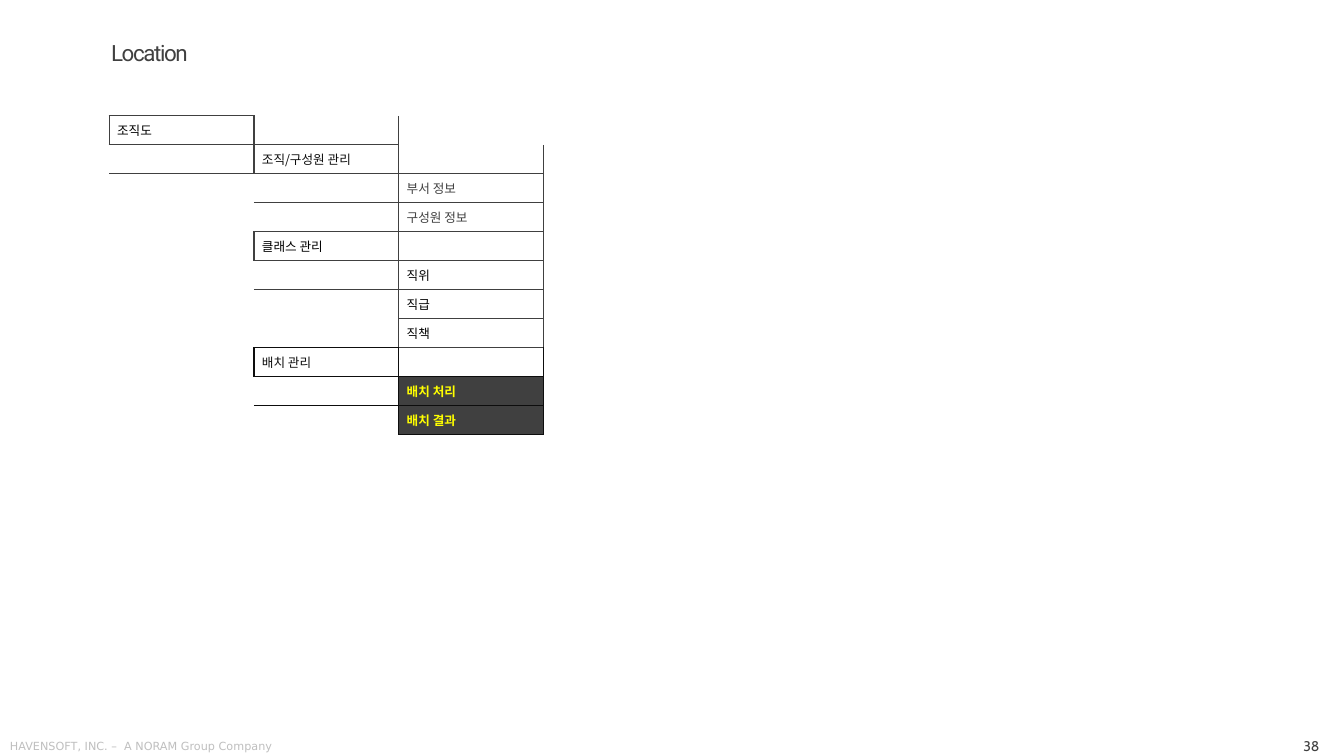
import pptx
import pptx.dml.color
import pptx.enum.text
import pptx.oxml.ns
import pptx.util
from lxml import etree

Cm = pptx.util.Cm
Pt = pptx.util.Pt
qn = pptx.oxml.ns.qn
Anchor = pptx.enum.text.MSO_ANCHOR
Align = pptx.enum.text.PP_ALIGN

GRAY, DARK, BLACK = "404040", "0D0D0D", "000000"
WHITE, YELLOW = "FFFFFF", "FFFF00"
MENU_FONT = "Noto Sans CJK KR"
NO_STYLE = "{2D5ABB26-0587-4C30-8999-92F81FD0307C}"
SIDES = {"L": (0, -1), "R": (0, 1), "T": (-1, 0), "B": (1, 0)}

MENU = [
    (0, "조직도", BLACK, None, GRAY),
    (1, "조직/구성원 관리", DARK, None, GRAY),
    (2, "부서 정보", GRAY, None, GRAY),
    (2, "구성원 정보", GRAY, WHITE, GRAY),
    (1, "클래스 관리", BLACK, None, GRAY),
    (2, "직위", BLACK, None, GRAY),
    (2, "직급", BLACK, None, GRAY),
    (2, "직책", BLACK, None, GRAY),
    (1, "배치 관리", DARK, WHITE, DARK),
    (2, "배치 처리", YELLOW, GRAY, DARK),
    (2, "배치 결과", YELLOW, GRAY, DARK),
]


def color(hex_text):
    return pptx.dml.color.RGBColor.from_string(hex_text)


class SlideBuilder:
    def __init__(self, presentation):
        self.slide = presentation.slides.add_slide(presentation.slide_layouts[5])

    def format_text(self, frame, size, font_name, hex_text, bold=False):
        for run in frame.paragraphs[0].runs:
            run.font.size = Pt(size)
            run.font.name = font_name
            run.font.bold = bold
            run.font.color.rgb = color(hex_text)
            properties = run.font._element
            etree.SubElement(properties, qn("a:ea"), typeface=font_name)

    def set_margins(self, frame, horizontal, vertical):
        frame.margin_left = frame.margin_right = Cm(horizontal)
        frame.margin_top = frame.margin_bottom = Cm(vertical)

    def title(self, text, left, top, width, height):
        shape = self.slide.shapes.title
        shape.left, shape.top = Cm(left), Cm(top)
        shape.width, shape.height = Cm(width), Cm(height)
        frame = shape.text_frame
        frame.text = text
        frame.auto_size = pptx.enum.text.MSO_AUTO_SIZE.NONE
        frame.vertical_anchor = Anchor.TOP
        self.set_margins(frame, 0, 0)
        paragraph = frame.paragraphs[0]
        paragraph.alignment = Align.LEFT
        paragraph.line_spacing = 0.9
        self.format_text(frame, 16, "Roboto", GRAY)
        paragraph.runs[0].font._element.set("spc", "-100")

    def label(self, text, left, top, width, height, size, font_name, hex_text,
              alignment=Align.LEFT, anchor=Anchor.TOP):
        shape = self.slide.shapes.add_textbox(Cm(left), Cm(top), Cm(width), Cm(height))
        frame = shape.text_frame
        frame.text = text
        frame.word_wrap = True
        frame.vertical_anchor = anchor
        self.set_margins(frame, 0.1, 0.13)
        frame.paragraphs[0].alignment = alignment
        self.format_text(frame, size, font_name, hex_text)

    def border(self, cell, position, side, hex_text):
        line = etree.Element(qn(f"a:ln{side}"), w=str(Pt(1)))
        fill = etree.SubElement(line, qn("a:solidFill"))
        etree.SubElement(fill, qn("a:srgbClr"), val=hex_text)
        cell._tc.get_or_add_tcPr().insert(position, line)

    def menu_table(self, entries, left, top, column_width, row_height, columns):
        frame = self.slide.shapes.add_table(
            len(entries), columns, Cm(left), Cm(top),
            Cm(column_width * columns), Cm(row_height * len(entries)))
        table = frame.table
        table.first_row = table.horz_banding = False
        table._tbl.tblPr.find(qn("a:tableStyleId")).text = NO_STYLE
        for column in table.columns:
            column.width = Cm(column_width)
        for row in table.rows:
            row.height = Cm(row_height)
        labelled = {(row, entry[0]): entry for row, entry in enumerate(entries)}
        for row in range(len(entries)):
            for column in range(columns):
                self.menu_cell(table.cell(row, column), row, column, labelled)

    def menu_cell(self, cell, row, column, labelled):
        self.set_margins(cell, 0, 0)
        cell.margin_left = Cm(0.2)
        cell.vertical_anchor = Anchor.MIDDLE
        entry = labelled.get((row, column))
        if entry:
            _, text, text_color, fill_color, _ = entry
            cell.text = text
            self.format_text(cell.text_frame, 9, MENU_FONT, text_color, text_color == YELLOW)
        else:
            fill_color = None
            paragraph = cell.text_frame.paragraphs[0]
            etree.SubElement(paragraph._p, qn("a:endParaRPr"), sz="900")
        if fill_color:
            cell.fill.solid()
            cell.fill.fore_color.rgb = color(fill_color)
        else:
            cell.fill.background()
        position = 0
        for side, (down, right) in SIDES.items():
            owner = entry or labelled.get((row + down, column + right))
            if owner:
                self.border(cell, position, side, owner[4])
                position += 1


def main():
    presentation = pptx.Presentation()
    presentation.slide_width = Cm(33.87)
    presentation.slide_height = Cm(19.05)
    builder = SlideBuilder(presentation)
    builder.label("38", 31.55, 18.52, 1.8, 0.53, 10, "Cabin", GRAY,
                  Align.RIGHT, Anchor.MIDDLE)
    builder.label("HAVENSOFT, INC. –  A NORAM Group Company", 0.15, 18.49, 9.12, 0.53,
                  8, "DejaVu Sans", "BFBFBF")
    builder.title("Location", 2.8, 1.07, 23.8, 0.91)
    builder.menu_table(MENU, 2.75, 2.92, 3.65, 0.73, 4)
    presentation.save("out.pptx")


if __name__ == "__main__":
    main()
